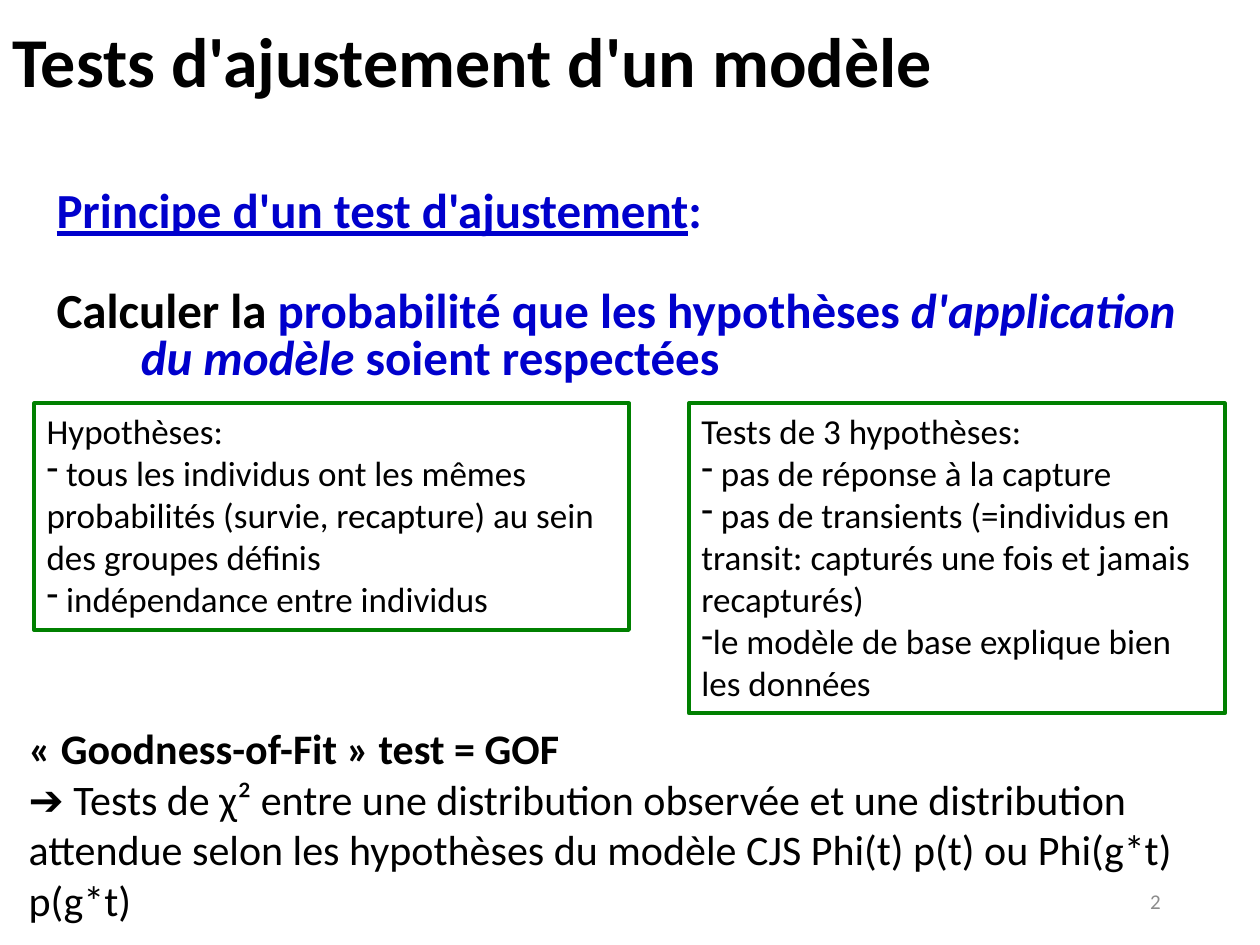
"""Build the slide on goodness-of-fit tests of a model."""
from dataclasses import dataclass

from lxml import etree
from pptx import Presentation
from pptx.dml.color import RGBColor
from pptx.enum.shapes import MSO_SHAPE
from pptx.enum.text import MSO_ANCHOR, PP_ALIGN
from pptx.oxml.ns import qn
from pptx.util import Cm, Pt

BLACK = RGBColor(0x00, 0x00, 0x00)
BLUE = RGBColor(0x00, 0x00, 0xCC)
GREEN = RGBColor(0x00, 0x80, 0x00)
GREY = RGBColor(0x8C, 0x8C, 0x8C)
FONT_NAME = "Calibri"
RECTANGLE = MSO_SHAPE.RECTANGLE
TOP, MIDDLE = MSO_ANCHOR.TOP, MSO_ANCHOR.MIDDLE
LEFT, RIGHT = PP_ALIGN.LEFT, PP_ALIGN.RIGHT


@dataclass(frozen=True)
class Span:
    text: str
    color: RGBColor = BLACK
    bold: bool = False
    italic: bool = False
    underline: bool = False


@dataclass(frozen=True)
class Line:
    spans: tuple[Span, ...]
    bullet: str = ""


@dataclass(frozen=True)
class Block:
    left: float
    top: float
    width: float
    height: float
    size: int
    lines: tuple[Line, ...]
    framed: bool = False
    anchor: MSO_ANCHOR = TOP
    alignment: PP_ALIGN = LEFT
    line_spacing: float = 1.0
    space_before: float = 0
    hanging: float = 0


def plain(text: str, bullet: str = "", bold: bool = False, color: RGBColor = BLACK) -> Line:
    return Line((Span(text, color, bold),), bullet)


def principle(top: float, *spans: Span) -> Block:
    return Block(0.89, top, 23.4, 1.2, 28, (Line(spans),),
                 line_spacing=0.8, space_before=5.6, hanging=1.7)


def hypotheses(left: float, width: float, height: float, heading: str, *items: str) -> Block:
    lines = (plain(heading), *(plain(item, "-") for item in items))
    return Block(left, 8.13, width, height, 20, lines, framed=True)


BLOCKS = (
    Block(0, -0.28, 25.4, 3.18, 40, (plain("Tests d'ajustement d'un modèle", bold=True),),
          anchor=MIDDLE, line_spacing=0.9),
    principle(3.73,
              Span("Principe d'un test d'ajustement", BLUE, bold=True, underline=True),
              Span(":", BLUE, bold=True)),
    principle(5.74,
              Span("Calculer la ", bold=True),
              Span("probabilité que les hypothèses ", BLUE, bold=True),
              Span("d'application du modèle ", BLUE, bold=True, italic=True),
              Span("soient respectées", BLUE, bold=True)),
    Block(17.93, 17.65, 5.72, 1.02, 12, (plain("2", color=GREY),),
          anchor=MIDDLE, alignment=RIGHT),
    hypotheses(0.69, 11.99, 4.57, "Hypothèses:",
               " tous les individus ont les mêmes probabilités (survie, recapture) "
               "au sein des groupes définis",
               " indépendance entre individus"),
    hypotheses(13.89, 10.8, 6.25, "Tests de 3 hypothèses:",
               " pas de réponse à la capture",
               " pas de transients (=individus en transit: capturés une fois et jamais recapturés)",
               "le modèle de base explique bien les données"),
    Block(0.33, 14.45, 24.54, 4.37, 24, (
        plain("« Goodness-of-Fit » test = GOF", bold=True),
        plain("➔ Tests de χ² entre une distribution observée et une distribution attendue "
              "selon les hypothèses du modèle CJS Phi(t) p(t) ou Phi(g*t) p(g*t)"))),
)


def write_line(paragraph, line: Line, block: Block) -> None:
    paragraph.alignment = block.alignment
    paragraph.line_spacing = block.line_spacing
    paragraph.space_before = Pt(block.space_before)
    properties = paragraph._p.get_or_add_pPr()
    properties.set("marL", str(Cm(block.hanging)))
    properties.set("indent", str(-Cm(block.hanging)))
    if line.bullet:
        etree.SubElement(properties, qn("a:buChar")).set("char", line.bullet)
    for span in line.spans:
        run = paragraph.add_run()
        run.text = span.text
        font = run.font
        font.name = FONT_NAME
        font.size = Pt(block.size)
        font.color.rgb = span.color
        font.bold = span.bold
        font.italic = span.italic
        font.underline = span.underline


def draw_block(slide, block: Block) -> None:
    bounds = (Cm(block.left), Cm(block.top), Cm(block.width), Cm(block.height))
    if block.framed:
        shape = slide.shapes.add_shape(RECTANGLE, *bounds)
        shape.shadow.inherit = False
        shape.fill.background()
        shape.line.color.rgb = GREEN
        shape.line.width = Pt(2.25)
    else:
        shape = slide.shapes.add_textbox(*bounds)
    text_frame = shape.text_frame
    text_frame.word_wrap = True
    text_frame.vertical_anchor = block.anchor
    for index, line in enumerate(block.lines):
        paragraph = text_frame.add_paragraph() if index else text_frame.paragraphs[0]
        write_line(paragraph, line, block)


def main() -> None:
    presentation = Presentation()
    presentation.slide_width = Cm(25.4)
    presentation.slide_height = Cm(19.05)
    slide = presentation.slides.add_slide(presentation.slide_layouts[6])
    for block in BLOCKS:
        draw_block(slide, block)
    presentation.save("out.pptx")


if __name__ == "__main__":
    main()
